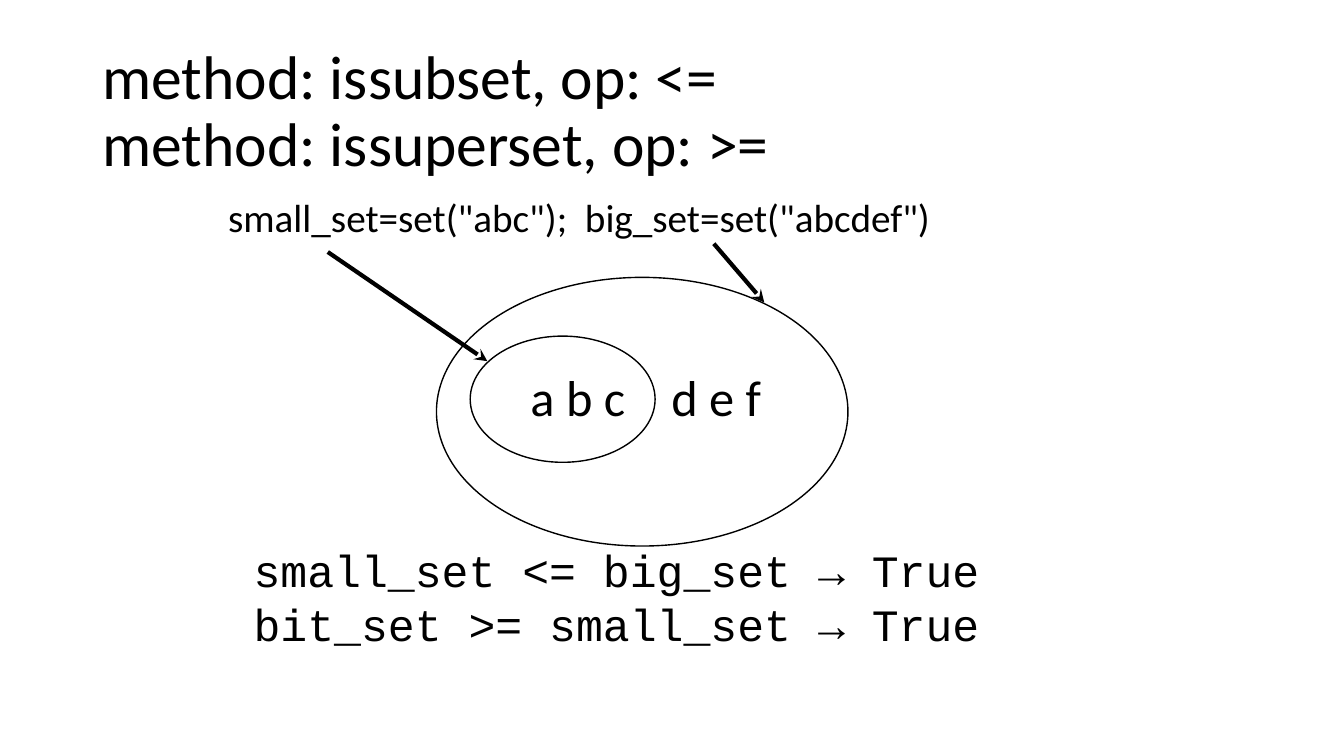
from lxml import etree
from pptx import Presentation
from pptx.dml.color import RGBColor
from pptx.enum import shapes, text
from pptx.oxml import ns
from pptx.util import Cm, Pt

COLOURS = {"ink": "000000", "paper": "FFFFFF"}
INK = RGBColor.from_string(COLOURS["ink"])

# Lengths in centimetres: left, top, width, height
PASSAGES = [
    {"lines": ["method: issubset, op: <=\vmethod: issuperset, op: >="],
     "box": (2.33, 1.01, 29.21, 3.68), "font": {"name": "Calibri", "size": Pt(44)},
     "anchor": text.MSO_ANCHOR.MIDDLE, "spacing": {"line_spacing": 0.9}},
    {"lines": ['small_set=set("abc");  big_set=set("abcdef")'],
     "box": (5.5, 4.87, 23.71, 12.14), "font": {"name": "Calibri", "size": Pt(28)},
     "spacing": {"line_spacing": 0.9, "space_before": Pt(10)}},
    {"lines": ["small_set <= big_set → True", "bit_set >= small_set → True"],
     "box": (6.14, 13.55, 23.5, 4.18), "font": {"name": "Courier New", "size": Pt(32)}},
    {"lines": ["a b c\td e f"],
     "box": (13.12, 9.1, 6.43, 1.78), "font": {"name": "Calibri", "size": Pt(36)},
     "tab": 3.55},
]
SETS = {
    "big_set": (11.0, 6.99, 10.37, 6.77),
    "small_set": (11.85, 8.47, 4.66, 3.18),
}
# Start and end of each arrow from a definition to its set
POINTERS = [
    ((8.26, 6.35), (12.28, 9.1)),
    ((17.99, 6.14), (19.26, 7.62)),
]


def apply(target, values):
    for name, value in values.items():
        setattr(target, name, value)


def add_set(slide, box):
    ellipse = slide.shapes.add_shape(shapes.MSO_SHAPE.OVAL, *map(Cm, box))
    ellipse.shadow.inherit = False
    ellipse.fill.background()
    ellipse.line.color.rgb = INK
    ellipse.line.width = Pt(1)


def add_passage(slide, passage):
    frame = slide.shapes.add_textbox(*map(Cm, passage["box"])).text_frame
    frame.word_wrap = True
    frame.vertical_anchor = passage.get("anchor", text.MSO_ANCHOR.TOP)
    frame.text = "\n".join(passage["lines"])
    for paragraph in frame.paragraphs:
        apply(paragraph, passage.get("spacing", {}))
        for run in paragraph.runs:
            apply(run.font, passage["font"])
            run.font.color.rgb = INK
        if "tab" in passage:
            stops = etree.SubElement(paragraph._p.get_or_add_pPr(), ns.qn("a:tabLst"))
            etree.SubElement(stops, ns.qn("a:tab"), pos=str(Cm(passage["tab"])), algn="l")


def add_pointer(slide, start, end):
    pointer = slide.shapes.add_connector(
        shapes.MSO_CONNECTOR.STRAIGHT, *map(Cm, start + end))
    pointer.line.color.rgb = INK
    pointer.line.width = Pt(3)
    etree.SubElement(pointer.line._get_or_add_ln(), ns.qn("a:tailEnd"), type="stealth")
    etree.SubElement(pointer._element.spPr, ns.qn("a:effectLst"))


def main():
    deck = Presentation()
    apply(deck, {"slide_width": Cm(33.87), "slide_height": Cm(19.05)})
    slide = deck.slides.add_slide(deck.slide_layouts[6])
    slide.background.fill.solid()
    slide.background.fill.fore_color.rgb = RGBColor.from_string(COLOURS["paper"])
    for box in SETS.values():
        add_set(slide, box)
    for passage in PASSAGES:
        add_passage(slide, passage)
    for start, end in POINTERS:
        add_pointer(slide, start, end)
    deck.save("out.pptx")


if __name__ == "__main__":
    main()
